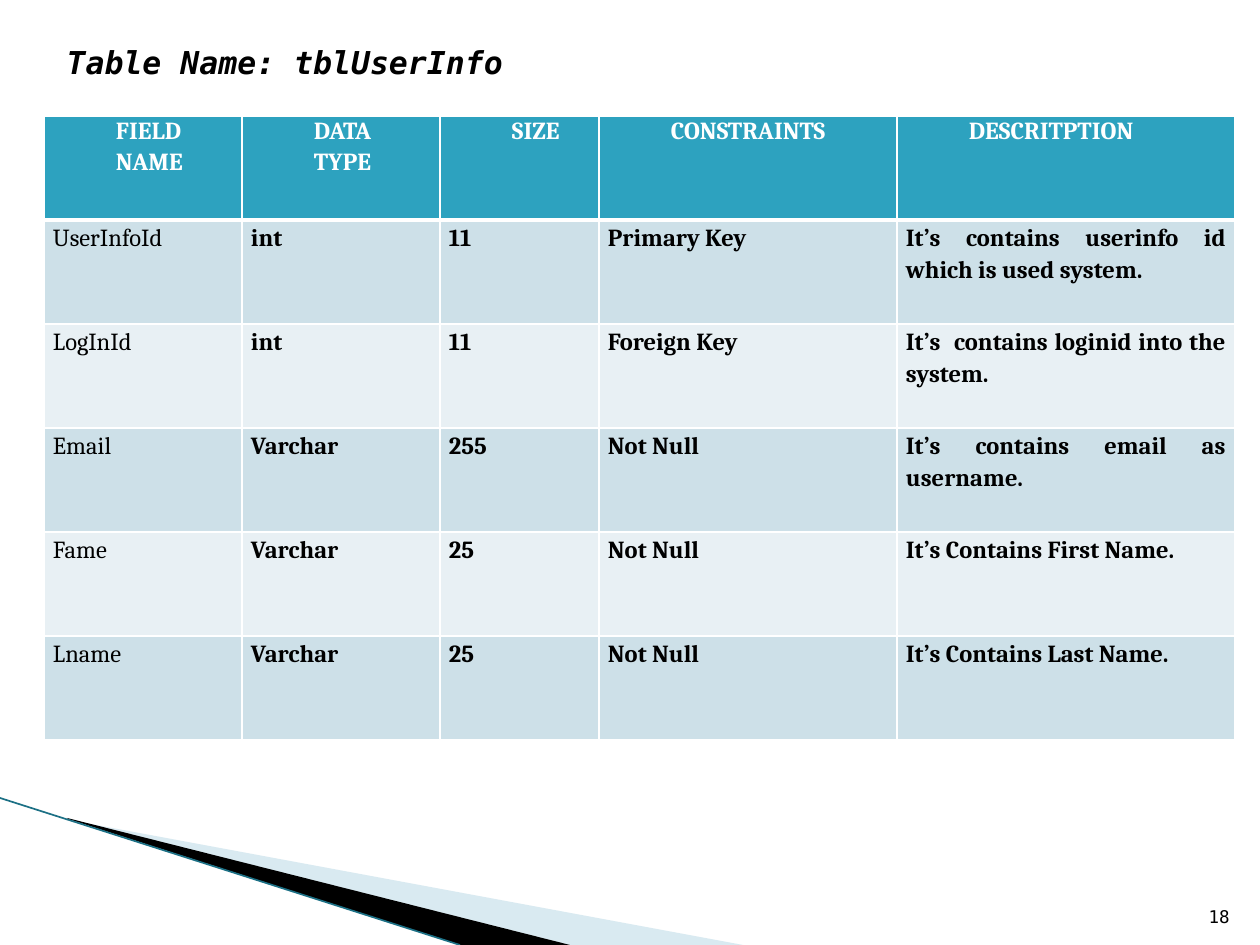
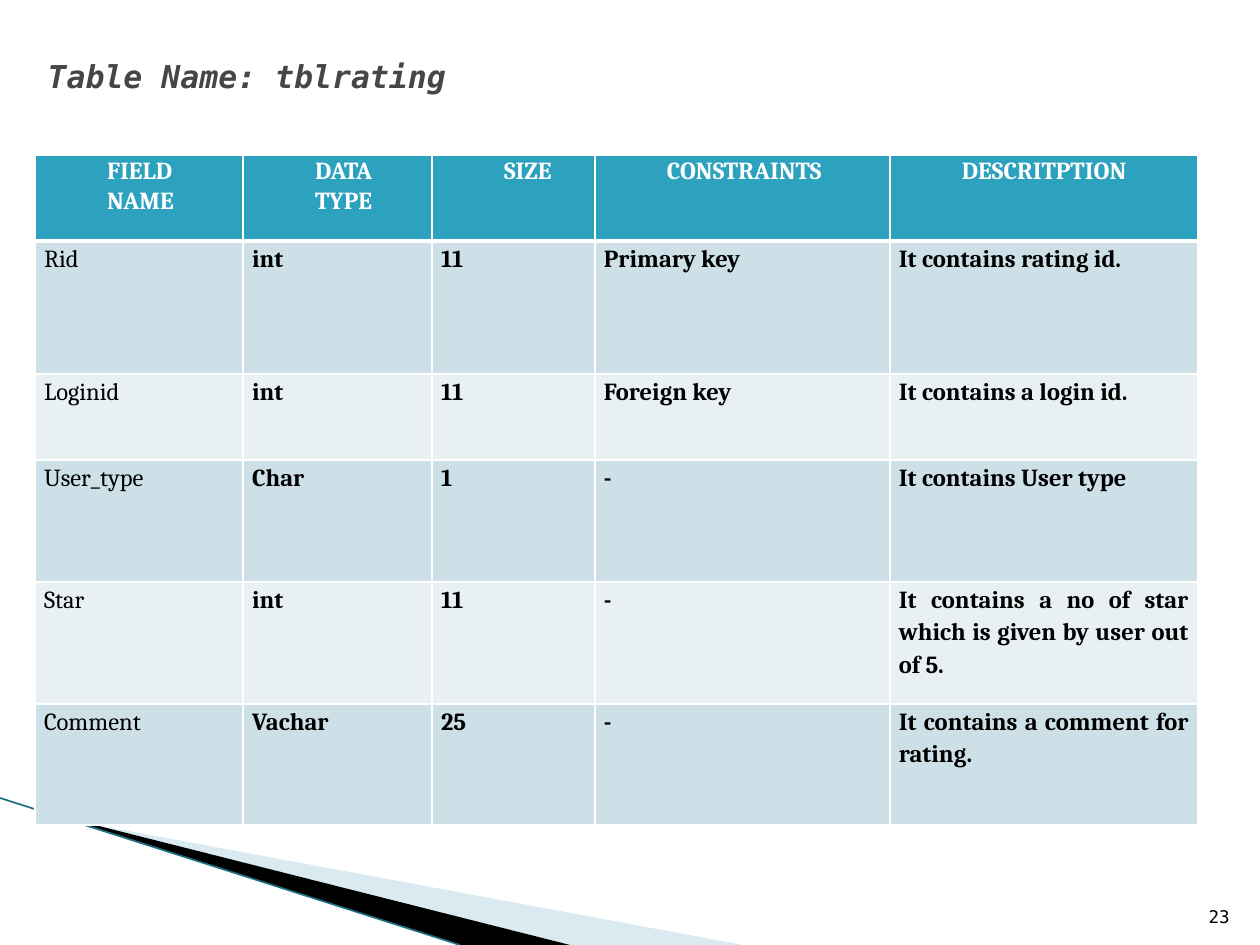
"""Build two data-dictionary slides, each with a title, a field table and a page number."""
from typing import Any, NamedTuple

from lxml.etree import SubElement
from pptx import Presentation
from pptx.dml.color import RGBColor
from pptx.enum.shapes import MSO_CONNECTOR
from pptx.enum.text import MSO_ANCHOR as Anchor, MSO_AUTO_SIZE as AutoSize, PP_ALIGN as Align
from pptx.oxml.ns import qn
from pptx.util import Emu, Pt

SCALE = 914400 / 126
WIDTH, HEIGHT = 1260, 945
TITLE_ONLY = 5

WHITE = RGBColor(0xFF, 0xFF, 0xFF)
BLACK = RGBColor(0x00, 0x00, 0x00)
GREY = RGBColor(0x46, 0x46, 0x46)
HEADER = RGBColor(0x2D, 0xA2, 0xBF)
ROW_DARK = RGBColor(0xCD, 0xE0, 0xE8)
ROW_LIGHT = RGBColor(0xE8, 0xF0, 0xF4)
SWOOSH = RGBColor(0xA0, 0xCB, 0xDC)
TEAL = RGBColor(0x1C, 0x70, 0x85)

MONO, SERIF = "DejaVu Sans Mono", "Cambria"
TITLE_FONT = {"name": MONO, "size": Pt(18), "bold": True, "italic": True}
NUMBER_FONT = {"name": MONO, "size": Pt(10)}
CELL_FONT = {"name": SERIF, "size": Pt(14)}
HEADER_PARA = {"alignment": Align.LEFT, "line_spacing": 1.07}
BODY_PARA = {"alignment": Align.JUSTIFY, "line_spacing": 1.15, "space_after": Pt(10)}
HEADINGS = ("FIELD NAME", "DATA TYPE", "SIZE", "CONSTRAINTS", "DESCRITPTION")


class Box(NamedTuple):
    left: int
    top: int
    width: int
    height: int


class Band(NamedTuple):
    points: tuple[tuple[int, int], ...]
    color: RGBColor
    opacity: int


class Field(NamedTuple):
    name: str
    data_type: str
    size: str
    constraint: str
    description: str


class TableSlide(NamedTuple):
    title: str
    title_box: Box
    title_inset: int
    title_color: RGBColor
    left: int
    top: int
    widths: tuple[int, ...]
    heights: tuple[int, ...]
    fields: tuple[Field, ...]
    number: str


BANDS = (
    Band(((69, 820), (743, 945), (570, 945), (69, 819)), SWOOSH, 40),
    Band(((67, 818), (570, 945), (460, 945), (68, 819)), BLACK, 100),
)
NUMBER_BOX = Box(1192, 883, 50, 50)

SLIDES = (
    TableSlide(
        "Table Name: tblUserInfo", Box(54, 37, 630, 50), 6, BLACK,
        44, 116, (198, 198, 159, 298, 338), (104,) * 6,
        (
            Field("UserInfoId", "int", "11", "Primary Key",
                  "It’s contains userinfo id which is used system."),
            Field("LogInId", "int", "11", "Foreign Key",
                  "It’s  contains loginid into the system."),
            Field("Email", "Varchar", "255", "Not Null", "It’s contains email as username."),
            Field("Fame", "Varchar", "25", "Not Null", "It’s Contains First Name."),
            Field("Lname", "Varchar", "25", "Not Null", "It’s Contains Last Name."),
        ),
        "18",
    ),
    TableSlide(
        "Table Name: tblrating", Box(35, 45, 1134, 157), 12, GREY,
        35, 155, (208, 189, 163, 295, 308), (86, 133, 86, 122, 122, 121),
        (
            Field("Rid", "int", "11", "Primary key", "It contains rating id."),
            Field("Loginid", "int", "11", "Foreign key", "It contains a login id."),
            Field("User_type", "Char", "1", "-", "It contains User type"),
            Field("Star", "int", "11", "-",
                  "It contains a no of star which is given by user out of 5."),
            Field("Comment", "Vachar", "25", "-", "It contains a comment for rating."),
        ),
        "23",
    ),
)


def px(n: int) -> Emu:
    """Turn px into EMU."""
    return Emu(round(n * SCALE))


def apply(target: Any, formats: dict[str, Any]) -> None:
    """Set every attribute named in formats."""
    for name, value in formats.items():
        setattr(target, name, value)


def write(tf: Any, text: str, font: dict[str, Any], color: RGBColor,
          para: dict[str, Any]) -> Any:
    """Fill a text frame with one formatted paragraph."""
    p = tf.paragraphs[0]
    apply(p, para)
    r = p.add_run()
    r.text = text
    apply(r.font, font)
    r.font.color.rgb = color
    return p


def draw_band(s: Any, band: Band) -> None:
    """Draw one filled sliver of the bottom decoration."""
    builder = s.shapes.build_freeform(*band.points[0], scale=SCALE)
    builder.add_line_segments(band.points[1:], close=True)
    sp = builder.convert_to_shape()
    sp.shadow.inherit = False
    sp.line.fill.background()
    sp.fill.solid()
    sp.fill.fore_color.rgb = band.color
    if band.opacity < 100:
        color = sp._element.spPr.find(qn("a:solidFill"))[0]
        SubElement(color, qn("a:alpha"), val=str(band.opacity * 1000))


def draw_decoration(s: Any) -> None:
    """Draw the slivers and the edge line."""
    for band in BANDS:
        draw_band(s, band)
    edge = s.shapes.add_connector(MSO_CONNECTOR.STRAIGHT, px(0), px(798), px(460), px(945))
    edge.line.color.rgb = TEAL
    edge.line.width = Pt(0.95)
    SubElement(edge._element.spPr, qn("a:effectLst"))


def draw_title(s: Any, item: TableSlide) -> None:
    """Place and format the title placeholder."""
    sp = s.shapes.title
    apply(sp, {k: px(v) for k, v in item.title_box._asdict().items()})
    tf = sp.text_frame
    apply(tf, {"auto_size": AutoSize.NONE, "word_wrap": True,
               "vertical_anchor": Anchor.TOP, "margin_top": px(item.title_inset)})
    write(tf, item.title, TITLE_FONT, item.title_color, {"alignment": Align.LEFT})


def draw_number(s: Any, number: str) -> None:
    """Write the page number in the corner."""
    tf = s.shapes.add_textbox(*map(px, NUMBER_BOX)).text_frame
    apply(tf, {"word_wrap": True, "vertical_anchor": Anchor.BOTTOM})
    write(tf, number, NUMBER_FONT, BLACK, {"alignment": Align.RIGHT})


def set_borders(cell: Any, row: int) -> None:
    """Give a cell white borders, thick under the header row."""
    tc_pr = cell._tc.get_or_add_tcPr()
    thick_side = {0: "lnB", 1: "lnT"}.get(row)
    for side in ("lnL", "lnR", "lnT", "lnB"):
        width = Pt(3 if side == thick_side else 1)
        ln = SubElement(tc_pr, qn(f"a:{side}"), w=str(width))
        fill = SubElement(ln, qn("a:solidFill"))
        SubElement(fill, qn("a:srgbClr"), val=str(WHITE))


def draw_cell(cell: Any, text: str, row: int, col: int) -> None:
    """Fill and format one table cell."""
    is_header = row == 0
    apply(cell, {"margin_left": px(9), "margin_right": px(9),
                 "margin_top": 0, "margin_bottom": 0})
    set_borders(cell, row)
    cell.fill.solid()
    cell.fill.fore_color.rgb = HEADER if is_header else ROW_DARK if row % 2 else ROW_LIGHT
    p = write(cell.text_frame, text, CELL_FONT | {"bold": is_header or col > 0},
              WHITE if is_header else BLACK, HEADER_PARA if is_header else BODY_PARA)
    if is_header:
        p._p.get_or_add_pPr().set("marL", str(px(63)))


def draw_table(s: Any, item: TableSlide) -> None:
    """Draw the field table."""
    rows = (HEADINGS, *item.fields)
    box = Box(item.left, item.top, sum(item.widths), sum(item.heights))
    table = s.shapes.add_table(len(rows), len(HEADINGS), *map(px, box)).table
    for column, width in zip(table.columns, item.widths):
        column.width = px(width)
    for i, (values, height) in enumerate(zip(rows, item.heights)):
        table.rows[i].height = px(height)
        for j, text in enumerate(values):
            draw_cell(table.cell(i, j), text, i, j)


def main() -> None:
    """Build and save the presentation."""
    prs = Presentation()
    prs.slide_width, prs.slide_height = px(WIDTH), px(HEIGHT)
    for item in SLIDES:
        s = prs.slides.add_slide(prs.slide_layouts[TITLE_ONLY])
        draw_decoration(s)
        draw_title(s, item)
        draw_table(s, item)
        draw_number(s, item.number)
    prs.save("out.pptx")


if __name__ == "__main__":
    main()
